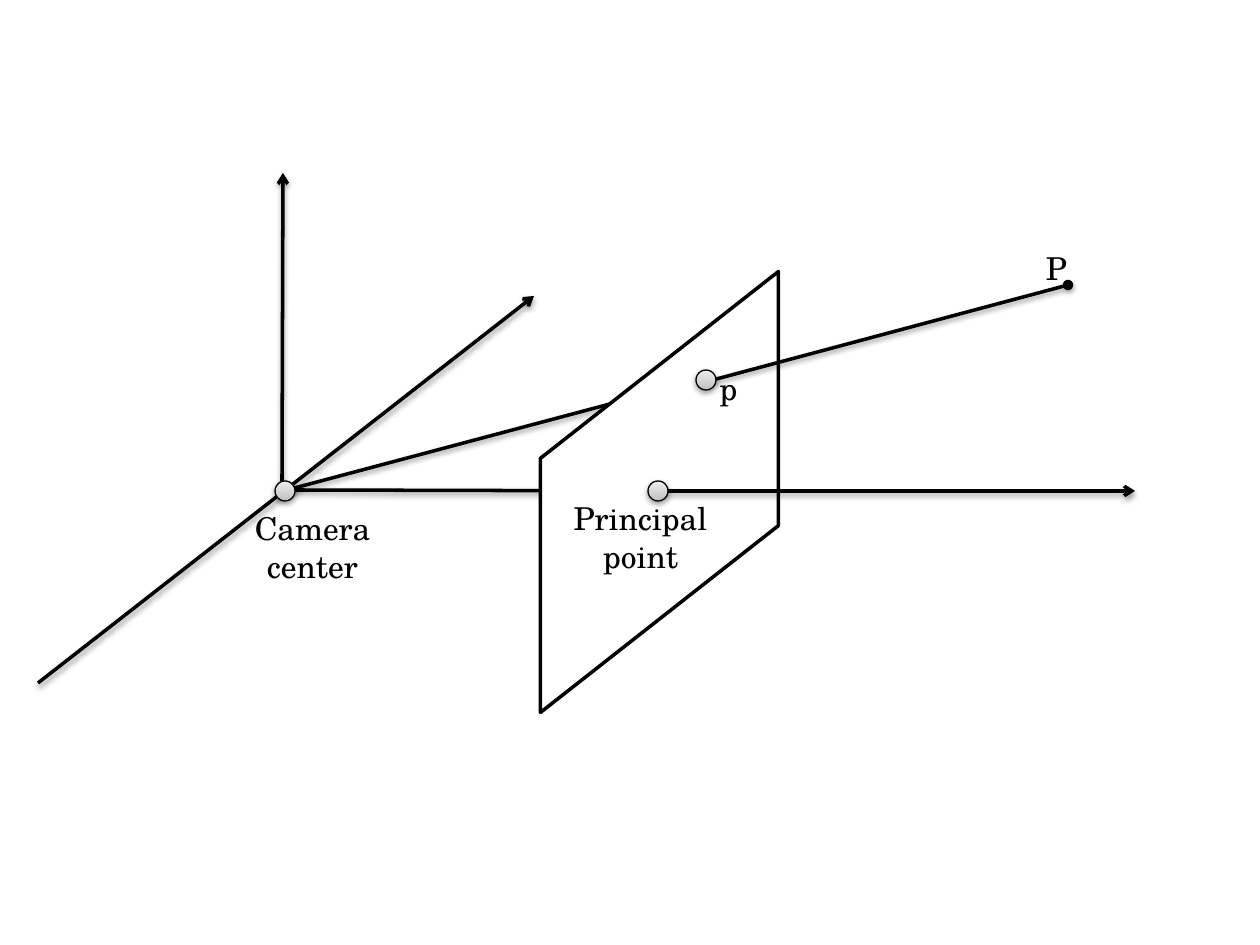
from copy import deepcopy

from lxml.etree import SubElement
from pptx import Presentation
from pptx.dml.color import RGBColor
from pptx.enum.shapes import MSO_CONNECTOR as Connector, MSO_SHAPE as Shape
from pptx.enum.text import MSO_AUTO_SIZE as AutoSize, PP_ALIGN as Align
from pptx.oxml.ns import qn
from pptx.util import Emu, Pt

PX = 914400 / 126
COLORS = {
    "ink": "000000",
    "plane": "FFFFFF",
    "dot_dark": "BDBDBD",
    "dot_mid": "D1D1D1",
    "dot_light": "EEEEEE",
}


def px(*lengths):
    return [Emu(round(length * PX)) for length in lengths]


def color(name):
    return RGBColor.from_string(COLORS[name])


class Diagram:
    """Draws the elements of a pinhole camera diagram on one slide."""

    font = "TeX Gyre Schola"
    text_size = Pt(18)
    stroke = Pt(2)
    dot_stroke = Pt(0.75)
    dot_size = 20

    def __init__(self, slide):
        self.slide = slide
        self.shapes = slide.shapes

    def outline(self, shape, width):
        shape.line.color.rgb = color("ink")
        shape.line.width = width

    def add_shadow(self, shape):
        effects = SubElement(shape.element.spPr, qn("a:effectLst"))
        shadow = SubElement(effects, qn("a:outerShdw"), blurRad="40000", dist="20000",
                            dir="5400000", rotWithShape="0")
        shade = SubElement(shadow, qn("a:srgbClr"), val=COLORS["ink"])
        SubElement(shade, qn("a:alpha"), val="38000")

    def line(self, start, end, head):
        connector = self.shapes.add_connector(Connector.STRAIGHT, *px(*start, *end))
        self.outline(connector, self.stroke)
        SubElement(connector.line._get_or_add_ln(), qn("a:tailEnd"), type=head)
        self.add_shadow(connector)

    def dot(self, left, top):
        shape = self.shapes.add_shape(Shape.OVAL, *px(left, top, self.dot_size, self.dot_size))
        shape.fill.gradient()
        shape.fill.gradient_angle = 90
        stops = shape.element.spPr.find(".//" + qn("a:gsLst"))
        stops.insert(1, deepcopy(stops[0]))
        shades = [(0, "dot_dark"), (0.35, "dot_mid"), (1, "dot_light")]
        for stop, (position, name) in zip(shape.fill.gradient_stops, shades):
            stop.position = position
            stop.color.rgb = color(name)
        self.outline(shape, self.dot_stroke)
        self.add_shadow(shape)

    def plane(self, left, top, width, height, slant):
        shape = self.shapes.add_shape(Shape.PARALLELOGRAM, *px(left, top, width, height))
        shape.adjustments[0] = slant
        shape.rotation = 270
        shape.element.spPr.xfrm.set("flipH", "1")
        shape.shadow.inherit = False
        shape.fill.solid()
        shape.fill.fore_color.rgb = color("plane")
        self.outline(shape, self.stroke)

    def label(self, text, left, top, width, height):
        text_frame = self.shapes.add_textbox(*px(left, top, width, height)).text_frame
        text_frame.word_wrap = True
        text_frame.auto_size = AutoSize.SHAPE_TO_FIT_TEXT
        text_frame.text = text
        for paragraph in text_frame.paragraphs:
            paragraph.alignment = Align.CENTER
            for run in paragraph.runs:
                run.font.name = self.font
                run.font.size = self.text_size
                run.font.color.rgb = color("ink")


def main():
    presentation = Presentation()
    presentation.slide_width, presentation.slide_height = px(1260, 945)
    diagram = Diagram(presentation.slides.add_slide(presentation.slide_layouts[6]))

    diagram.line((38, 683), (534, 296), "arrow")
    diagram.line((282, 490), (283, 173), "arrow")
    diagram.line((285, 490), (669, 491), "arrow")
    diagram.line((287, 490), (719, 375), "oval")
    diagram.dot(275, 481)

    diagram.plane(439, 373, 441, 238, 0.785)

    diagram.line((658, 491), (1135, 491), "arrow")
    diagram.dot(648, 481)
    diagram.line((709, 381), (1068, 285), "oval")
    diagram.dot(696, 370)

    diagram.label("Camera\ncenter", 223, 503, 179, 89)
    diagram.label("P", 1027, 243, 59, 50)
    diagram.label("p", 699, 363, 59, 50)
    diagram.label("Principal point", 551, 493, 179, 89)

    presentation.save("out.pptx")


if __name__ == "__main__":
    main()
